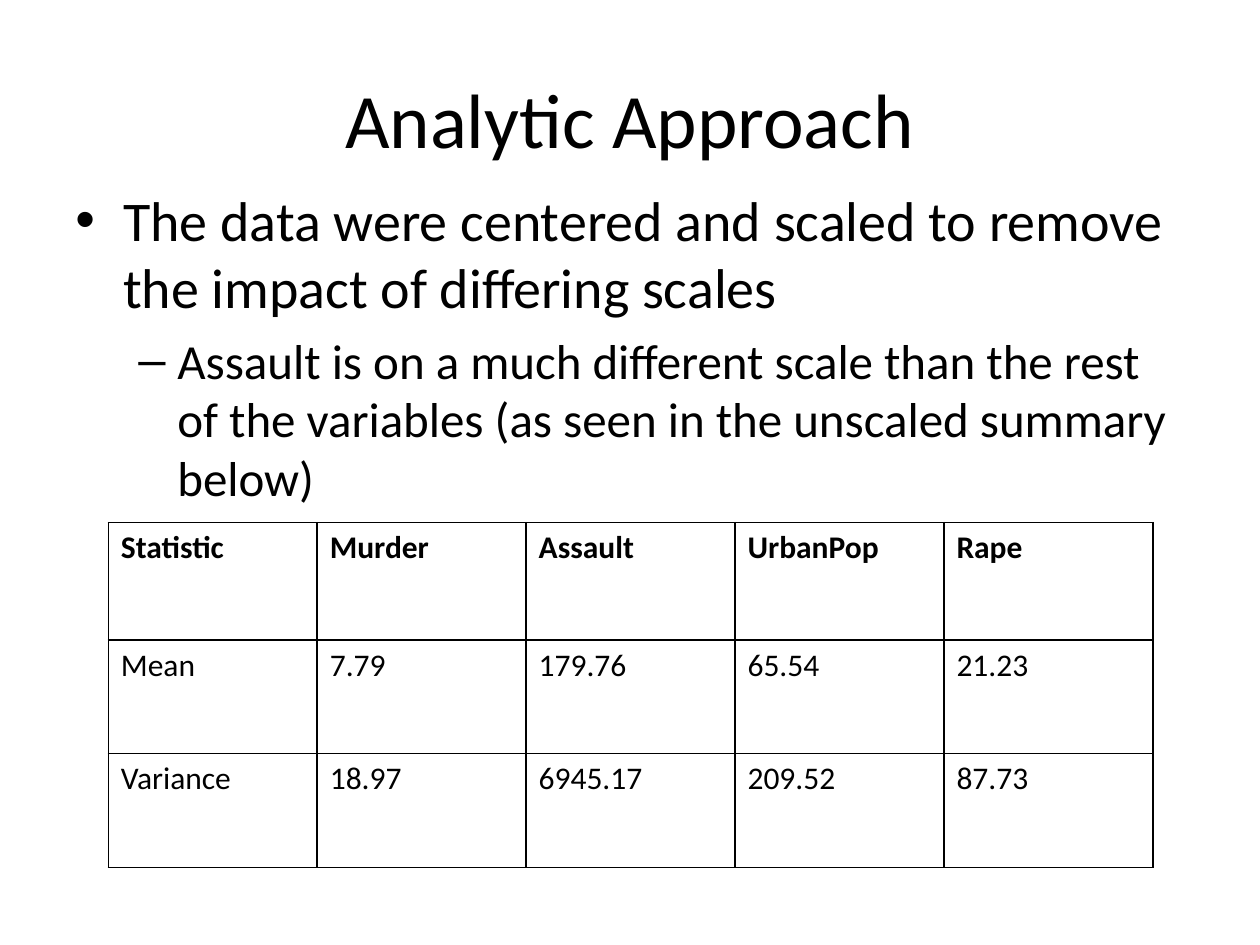
from dataclasses import dataclass

from lxml.etree import SubElement
from pptx import Presentation
from pptx.dml.color import RGBColor
from pptx.enum.text import MSO_ANCHOR, PP_ALIGN
from pptx.oxml.ns import qn
from pptx.util import Inches, Pt


@dataclass(frozen=True)
class Theme:
    font: str = "Calibri"
    ink: str = "000000"
    paper: str = "FFFFFF"
    title: int = 44
    point: int = 32
    detail: int = 28
    cell: int = 18
    border: float = 1


THEME = Theme()
WIDTH, HEIGHT = 10, 7.5

# Boxes as shares of the slide: left, top, width, height
TITLE_BOX = (0.05, 0.04, 0.9, 0.17)
POINTS_BOX = (0.05, 0.19, 0.9, 0.77)
SUMMARY_BOX = (0.086, 0.553, 0.829, 0.365)

TITLE = "Analytic Approach"
# Text, level, size, bullet, text indent and bullet offset in inches
POINTS = [
    ("The data were centered and scaled to remove the impact of differing scales",
     0, THEME.point, "•", 0.38, -0.38),
    ("Assault is on a much different scale than the rest of the variables "
     "(as seen in the unscaled summary below)",
     1, THEME.detail, "–", 0.81, -0.31),
]
SUMMARY = [
    ("Statistic", "Murder", "Assault", "UrbanPop", "Rape"),
    ("Mean", "7.79", "179.76", "65.54", "21.23"),
    ("Variance", "18.97", "6945.17", "209.52", "87.73"),
]
ROW_SHARES = (0.34, 0.33, 0.33)


def place(box):
    """Turn shares of the slide into lengths."""
    return [Inches(share * side) for share, side in zip(box, (WIDTH, HEIGHT) * 2)]


def write(paragraph, text, *, size, bold=False, align=PP_ALIGN.LEFT):
    paragraph.alignment = align
    run = paragraph.add_run()
    run.text = text
    run.font.name = THEME.font
    run.font.size = Pt(size)
    run.font.bold = bold
    run.font.color.rgb = RGBColor.from_string(THEME.ink)


def add_bullet(paragraph, mark, indent, offset):
    properties = paragraph._p.get_or_add_pPr()
    properties.set("marL", str(Inches(indent)))
    properties.set("indent", str(Inches(offset)))
    SubElement(properties, qn("a:buFont"), typeface="Arial")
    SubElement(properties, qn("a:buChar"), char=mark)


def add_borders(cell):
    properties = cell._tc.get_or_add_tcPr()
    for position, side in enumerate(("a:lnL", "a:lnR", "a:lnT", "a:lnB")):
        line = SubElement(properties, qn(side), w=str(Pt(THEME.border)))
        fill = SubElement(line, qn("a:solidFill"))
        SubElement(fill, qn("a:srgbClr"), val=THEME.ink)
        properties.insert(position, line)  # borders come before the cell fill


def add_text_frame(slide, box, anchor):
    frame = slide.shapes.add_textbox(*place(box)).text_frame
    frame.word_wrap = True
    frame.vertical_anchor = anchor
    return frame


def add_title(slide, box):
    frame = add_text_frame(slide, box, MSO_ANCHOR.MIDDLE)
    write(frame.paragraphs[0], TITLE, size=THEME.title, align=PP_ALIGN.CENTER)


def add_points(slide, box):
    frame = add_text_frame(slide, box, MSO_ANCHOR.TOP)
    for number, (text, level, size, mark, indent, offset) in enumerate(POINTS):
        point = frame.add_paragraph() if number else frame.paragraphs[0]
        point.level = level
        point.space_before = Pt(0.2 * size)
        write(point, text, size=size)
        add_bullet(point, mark, indent, offset)


def add_summary(slide, box):
    left, top, width, height = place(box)
    table = slide.shapes.add_table(
        len(SUMMARY), len(SUMMARY[0]), left, top, width, height).table
    table.horz_banding = False
    for row, share in zip(table.rows, ROW_SHARES):
        row.height = int(height * share)
    for row_number, values in enumerate(SUMMARY):
        for column_number, value in enumerate(values):
            cell = table.cell(row_number, column_number)
            cell.fill.solid()
            cell.fill.fore_color.rgb = RGBColor.from_string(THEME.paper)
            write(cell.text_frame.paragraphs[0], value,
                  size=THEME.cell, bold=row_number == 0)
            add_borders(cell)


def main():
    deck = Presentation()
    deck.slide_width, deck.slide_height = Inches(WIDTH), Inches(HEIGHT)
    slide = deck.slides.add_slide(deck.slide_layouts[6])
    # Heading, bullet points, then the table over their lower part
    add_title(slide, TITLE_BOX)
    add_points(slide, POINTS_BOX)
    add_summary(slide, SUMMARY_BOX)
    deck.save("out.pptx")


if __name__ == "__main__":
    main()
